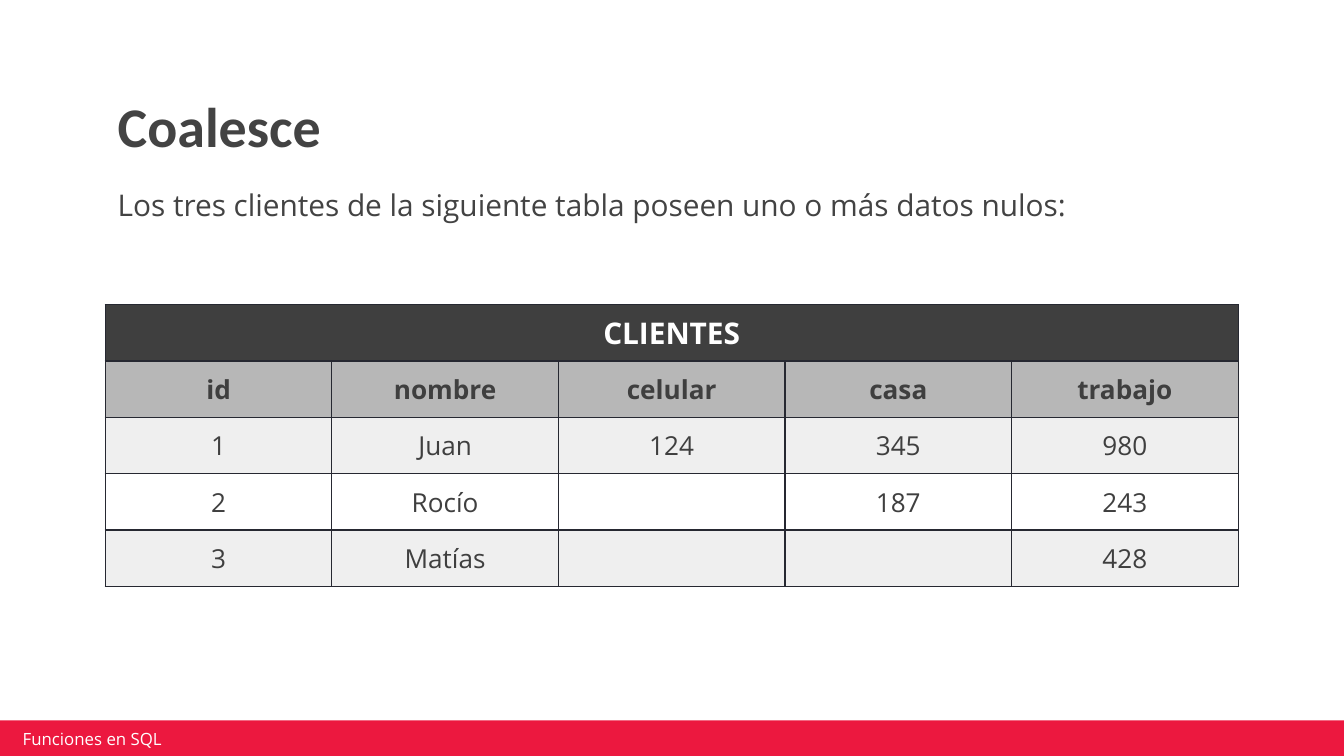
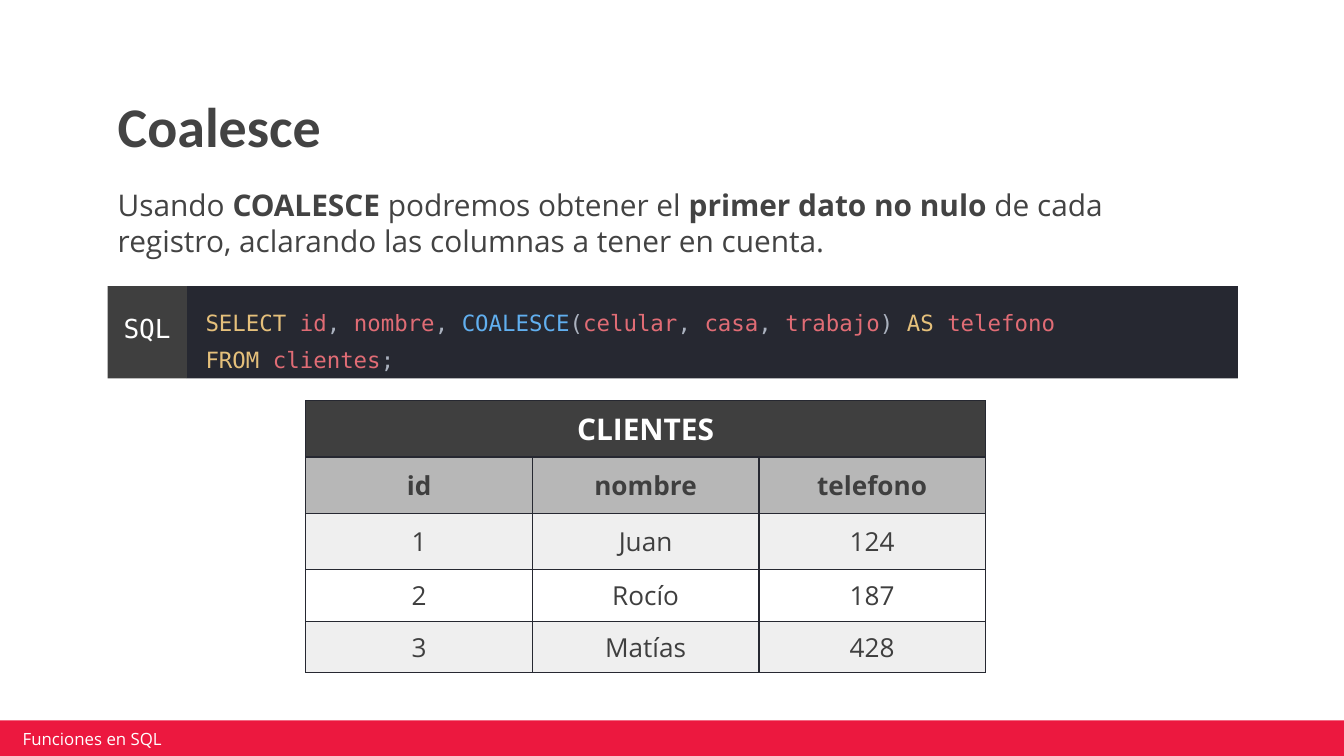
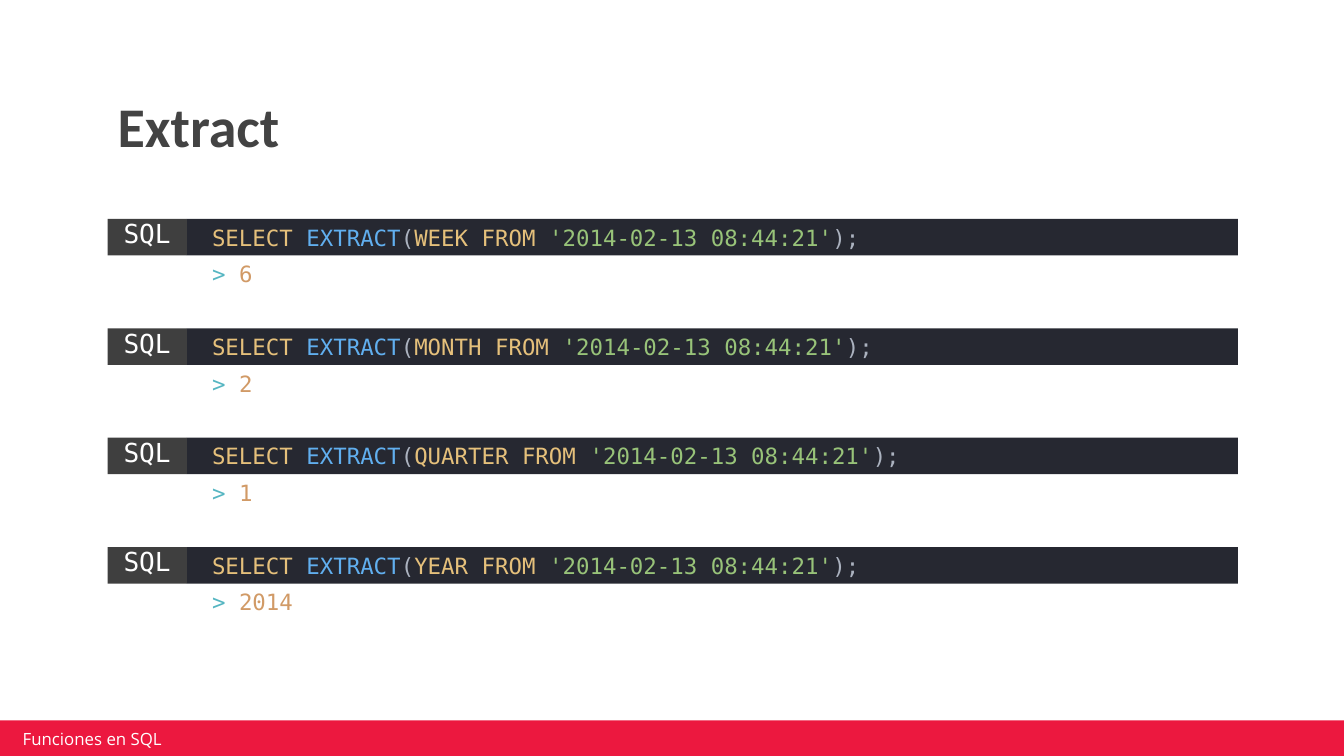
from dataclasses import dataclass

from lxml import etree
from pptx import Presentation
from pptx.dml.color import RGBColor
from pptx.enum import shapes, text
from pptx.oxml import ns
from pptx.util import Pt


@dataclass(frozen=True)
class Theme:
    """Colours, fonts and type sizes shared by the slides."""

    brand: str = "EC183F"
    white: str = "FFFFFF"
    ink: str = "434343"
    charcoal: str = "3F3F3F"
    heading: str = "B7B7B7"
    stripe: str = "EFEFEF"
    editor: str = "262831"
    keyword: str = "E5C07B"
    column: str = "E06C75"
    mark: str = "ABB2BF"
    function: str = "61AFEF"
    string: str = "98C379"
    prompt: str = "56B6C2"
    number: str = "D19A66"
    title_font: str = "Calibri"
    body_font: str = "Open Sans"
    code_font: str = "DejaVu Sans Mono"
    title_size: float = 30
    body_size: float = 16
    cell_size: float = 14
    code_size: float = 12
    footer_size: float = 9
    code_spacing: float = 1.36


THEME = Theme()
WIDTH, HEIGHT = 720, 405
TITLE_BOX = (56, 43, 607, 50)
BODY_BOX = (56, 93, 579, 53)
BAND_BOX = (-1, 386, 722, 19)
CODE_LEFT, CODE_WIDTH, TAG_WIDTH = 57.6, 605.6, 42.5
COLUMN_WIDTH, HEADER_HEIGHT = 121.4, 30.2


def points(box):
    """Convert a box of numbers to lengths."""
    return [Pt(value) for value in box]


def style(run, font, size, color, bold=False):
    """Format one run."""
    run.font.name = font
    run.font.size = Pt(size)
    run.font.bold = bold
    run.font.color.rgb = RGBColor.from_string(color)


def set_frame(frame, insets, anchor):
    """Set wrapping, insets (left, top, right, bottom) and anchor."""
    frame.word_wrap = True
    frame.vertical_anchor = anchor
    (frame.margin_left, frame.margin_top,
     frame.margin_right, frame.margin_bottom) = points(insets)


def add_text(slide, box, insets=(7.2,) * 4, anchor=text.MSO_ANCHOR.TOP):
    """Add an empty text box and return its frame."""
    frame = slide.shapes.add_textbox(*points(box)).text_frame
    set_frame(frame, insets, anchor)
    return frame


def add_block(owner, box, color):
    """Add a plain filled rectangle."""
    block = owner.shapes.add_shape(shapes.MSO_SHAPE.RECTANGLE, *points(box))
    block.shadow.inherit = False
    block.fill.solid()
    block.fill.fore_color.rgb = RGBColor.from_string(color)
    block.line.fill.background()
    return block


def write_code(paragraph, tokens):
    """Write coloured code tokens, given as (role, words) pairs."""
    paragraph.alignment = text.PP_ALIGN.LEFT
    paragraph.line_spacing = THEME.code_spacing
    for role, words in tokens:
        run = paragraph.add_run()
        run.text = words
        style(run, THEME.code_font, THEME.code_size, getattr(THEME, role))


def add_footer(slide, box):
    """Draw the red band with the course name."""
    left, top, _, _ = box
    add_block(slide, box, THEME.brand)
    frame = add_text(slide, (left + 9.6, top + 4.2, 172, 10.8),
                     (3.6, 1.4, 3.6, 1.4), text.MSO_ANCHOR.MIDDLE)
    frame.text = "Funciones en SQL"
    style(frame.paragraphs[0].runs[0], THEME.body_font, THEME.footer_size, THEME.white)


def add_title(slide, box, words):
    """Write the slide title."""
    frame = add_text(slide, box, anchor=text.MSO_ANCHOR.BOTTOM)
    frame.text = words
    heading = frame.paragraphs[0]
    heading.line_spacing = 0.9
    style(heading.runs[0], THEME.title_font, THEME.title_size, THEME.ink, True)


def add_body(slide, box, phrases):
    """Write the introduction, given as (words, bold) pairs."""
    sentence = add_text(slide, box).paragraphs[0]
    sentence.space_before = Pt(6)
    for words, bold in phrases:
        run = sentence.add_run()
        run.text = words
        style(run, THEME.body_font, THEME.body_size, THEME.ink, bold)


def add_borders(cell):
    """Outline a cell on its four sides."""
    properties = cell._tc.get_or_add_tcPr()
    for position, side in enumerate(("lnL", "lnR", "lnT", "lnB")):
        line = etree.Element(ns.qn(f"a:{side}"), w=str(Pt(0.75)))
        fill = etree.SubElement(line, ns.qn("a:solidFill"))
        etree.SubElement(fill, ns.qn("a:srgbClr"), val=THEME.editor)
        properties.insert(position, line)


def fill_cell(cell, words, fill, size, color, bold):
    """Write and colour one table cell."""
    cell.vertical_anchor = text.MSO_ANCHOR.MIDDLE
    cell.margin_top = cell.margin_bottom = Pt(4.3)
    if fill:
        cell.fill.solid()
        cell.fill.fore_color.rgb = RGBColor.from_string(fill)
    else:
        cell.fill.background()
    add_borders(cell)
    if words:
        cell.text_frame.text = words
        entry = cell.text_frame.paragraphs[0]
        entry.alignment = text.PP_ALIGN.CENTER
        entry.space_before = Pt(6)
        style(entry.runs[0], THEME.body_font, size, color, bold)


def add_clients(slide, left, top, fields, clients, last_height):
    """Draw the clients table with its caption and field rows."""
    rows = [["CLIENTES"] + [""] * (len(fields) - 1), fields, *clients]
    heights = [HEADER_HEIGHT] * 3 + [last_height] * 2
    box = (left, top, COLUMN_WIDTH * len(fields), sum(heights))
    table = slide.shapes.add_table(len(rows), len(fields), *points(box)).table
    table.first_row = table.horz_banding = False
    for column in table.columns:
        column.width = Pt(COLUMN_WIDTH)
    caption = (THEME.charcoal, THEME.body_size, THEME.white, True)
    header = (THEME.heading, THEME.cell_size, THEME.charcoal, True)
    striped = (THEME.stripe, THEME.cell_size, THEME.charcoal, False)
    plain = (None, THEME.cell_size, THEME.charcoal, False)
    looks = (caption, header, striped, plain, striped)
    for row, (entries, height, look) in enumerate(zip(rows, heights, looks)):
        table.rows[row].height = Pt(height)
        for column, words in enumerate(entries):
            fill_cell(table.cell(row, column), words, *look)
    table.cell(0, 0).merge(table.cell(0, len(fields) - 1))


def add_editor(slide, box, lines=()):
    """Draw a dark code bar with its SQL tag and optional code lines."""
    left, top, width, height = box
    group = slide.shapes.add_group_shape()
    bar = add_block(group, (left + TAG_WIDTH, top, width - TAG_WIDTH, height), THEME.editor)
    if lines:
        frame = bar.text_frame
        set_frame(frame, (10, 11.5, 7.2, 7.2), text.MSO_ANCHOR.MIDDLE)
        for index, tokens in enumerate(lines):
            write_code(frame.add_paragraph() if index else frame.paragraphs[0], tokens)
    tag = add_block(group, (left, top, TAG_WIDTH, height), THEME.charcoal).text_frame
    set_frame(tag, (7.2, 2.9, 7.2, 7.2), text.MSO_ANCHOR.MIDDLE)
    tag.text = "SQL"
    tag.paragraphs[0].alignment = text.PP_ALIGN.CENTER
    style(tag.paragraphs[0].runs[0], THEME.code_font, THEME.cell_size, THEME.white)


def add_extracts(slide, box, extracts):
    """Write each EXTRACT query with its result below it."""
    frame = add_text(slide, box, (7.2, 21.7, 7.2, 7.2))
    for index, (unit, result) in enumerate(extracts):
        query = frame.add_paragraph() if index else frame.paragraphs[0]
        query.space_before = Pt(19.5)
        write_code(query, [
            ("keyword", "SELECT "), ("function", "EXTRACT"), ("mark", "("),
            ("keyword", f"{unit} FROM "), ("string", "'2014-02-13 08:44:21'"),
            ("mark", ");")])
        answer = frame.add_paragraph()
        write_code(answer, [("prompt", "> "), ("number", result)])
        for line in (query, answer):
            line._p.get_or_add_pPr().set("marL", str(Pt(50.5)))


def start_slide(deck):
    """Add a blank slide with the footer."""
    slide = deck.slides.add_slide(deck.slide_layouts[6])
    add_footer(slide, BAND_BOX)
    return slide


def build_nulls(deck):
    """Build the slide with the clients' missing data."""
    slide = start_slide(deck)
    add_title(slide, TITLE_BOX, "Coalesce")
    add_body(slide, BODY_BOX, [
        ("Los tres clientes de la siguiente tabla poseen uno o más datos nulos:", False)])
    add_clients(slide, 56.4, 163.2, ["id", "nombre", "celular", "casa", "trabajo"], [
        ["1", "Juan", "124", "345", "980"],
        ["2", "Rocío", "", "187", "243"],
        ["3", "Matías", "", "", "428"]], 28.6)


def build_coalesce(deck):
    """Build the slide with the COALESCE query and its result."""
    slide = start_slide(deck)
    add_title(slide, TITLE_BOX, "Coalesce")
    add_body(slide, BODY_BOX, [
        ("Usando ", False), ("COALESCE ", True), ("podremos obtener el ", False),
        ("primer dato no nulo", True),
        (" de cada registro, aclarando las columnas a tener en cuenta.", False)])
    add_clients(slide, 163.8, 214.6, ["id", "nombre", "telefono"], [
        ["1", "Juan", "124"], ["2", "Rocío", "187"], ["3", "Matías", "428"]], 27.6)
    comma = ("mark", ", ")
    add_editor(slide, (CODE_LEFT, 153.3, CODE_WIDTH, 49.4), [
        [("keyword", "SELECT "), ("column", "id"), comma, ("column", "nombre"), comma,
         ("function", "COALESCE"), ("mark", "("), ("column", "celular"), comma,
         ("column", "casa"), comma, ("column", "trabajo"), ("mark", ") "),
         ("keyword", "AS "), ("column", "telefono")],
        [("keyword", "FROM "), ("column", "clientes"), ("mark", ";")]])


def build_extract(deck):
    """Build the slide with the EXTRACT examples."""
    slide = start_slide(deck)
    extracts = [("WEEK", "6"), ("MONTH", "2"), ("QUARTER", "1"), ("YEAR", "2014")]
    for index in range(len(extracts)):
        add_editor(slide, (CODE_LEFT, 117.3 + 58.6 * index, CODE_WIDTH, 19.6))
    add_title(slide, TITLE_BOX, "Extract")
    add_extracts(slide, BODY_BOX, extracts)


def main():
    """Build and save the deck."""
    deck = Presentation()
    deck.slide_width, deck.slide_height = Pt(WIDTH), Pt(HEIGHT)
    for build in (build_nulls, build_coalesce, build_extract):
        build(deck)
    deck.save("out.pptx")


if __name__ == "__main__":
    main()
